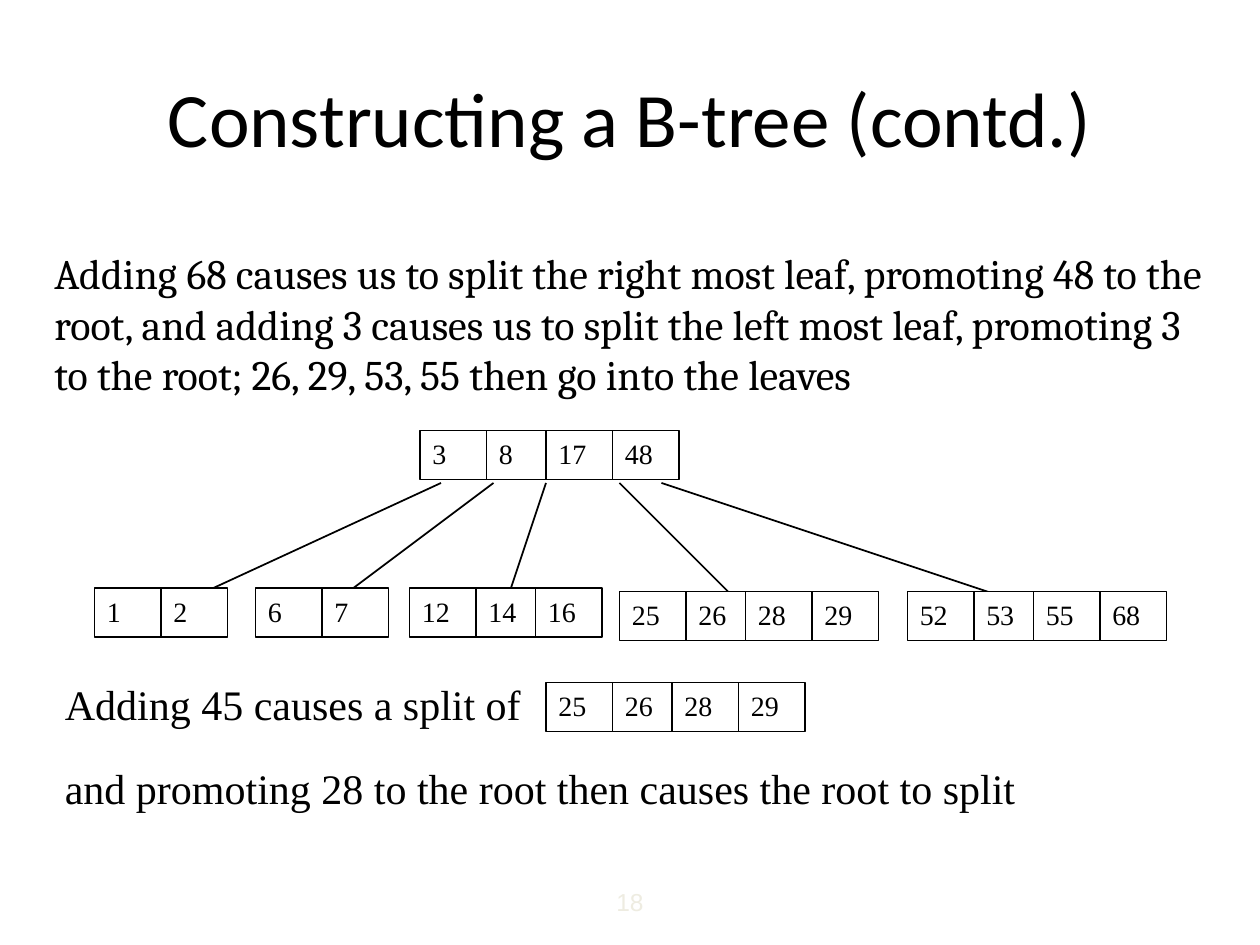
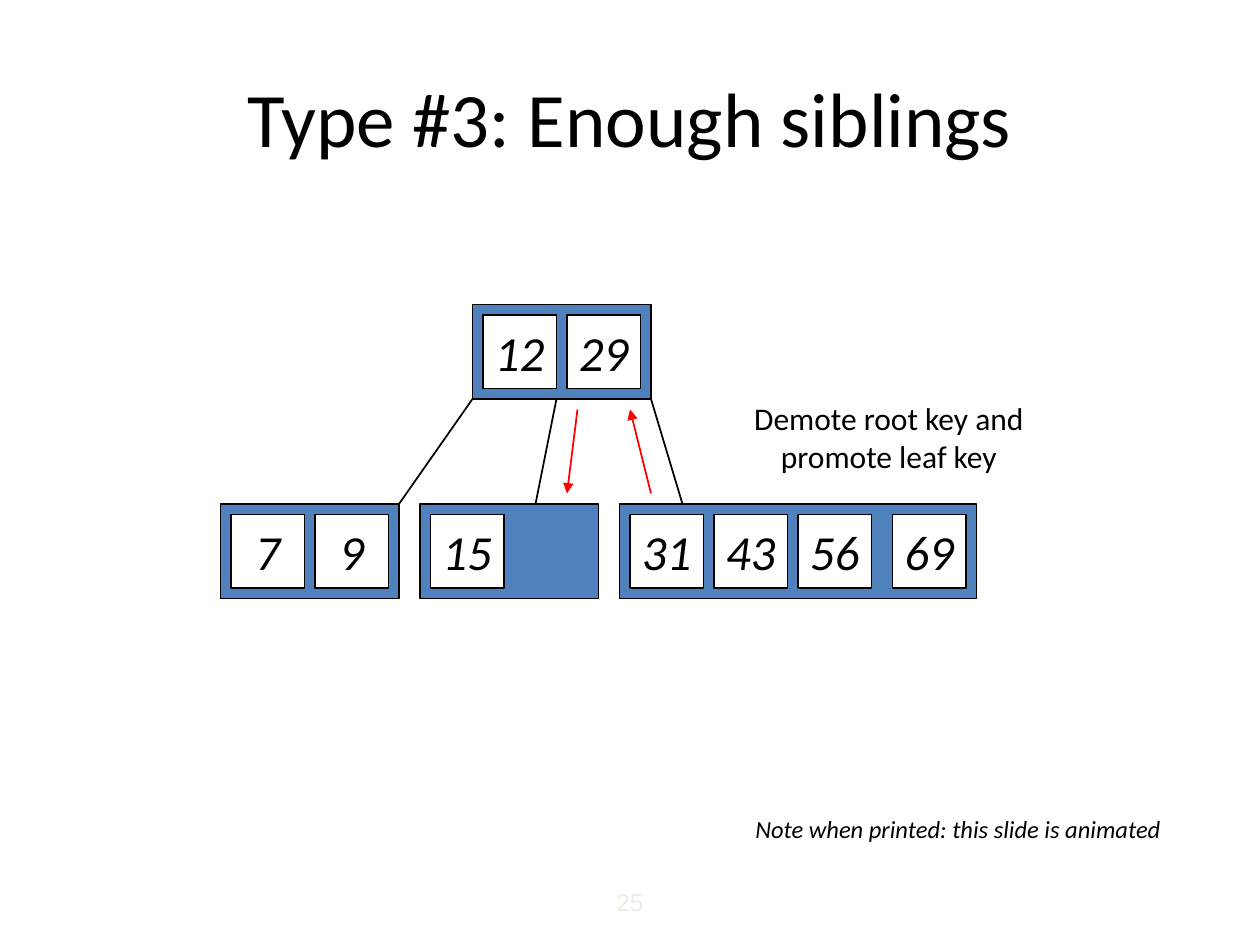
from lxml import etree
from pptx import Presentation
from pptx.dml.color import RGBColor
from pptx.enum.shapes import MSO_CONNECTOR, MSO_SHAPE
from pptx.enum.text import MSO_ANCHOR, PP_ALIGN
from pptx.oxml.ns import qn
from pptx.util import Pt

LEFT, CENTER = PP_ALIGN.LEFT, PP_ALIGN.CENTER
TOP, MIDDLE = MSO_ANCHOR.TOP, MSO_ANCHOR.MIDDLE
RECTANGLE = MSO_SHAPE.RECTANGLE
STRAIGHT = MSO_CONNECTOR.STRAIGHT

BLACK = RGBColor(0x00, 0x00, 0x00)
WHITE = RGBColor(0xFF, 0xFF, 0xFF)
BLUE = RGBColor(0x4F, 0x81, 0xBD)
RED = RGBColor(0xFF, 0x00, 0x00)
PALE = RGBColor(0xEE, 0xEC, 0xE1)

SANS, SERIF, ROMAN = "Calibri", "Cambria", "Times New Roman"


def add_box(slide, frame, lines=(), font=SANS, size=18, color=BLACK, align=LEFT,
            anchor=TOP, italic=False, wrap=True, fill=None, border=1):
    """Add a text box, or a bordered rectangle when a fill is given."""
    frame = [Pt(length) for length in frame]
    if fill is None:
        shape = slide.shapes.add_textbox(*frame)
    else:
        shape = slide.shapes.add_shape(RECTANGLE, *frame)
        shape.shadow.inherit = False
        shape.fill.solid()
        shape.fill.fore_color.rgb = fill
        shape.line.color.rgb = BLACK
        shape.line.width = Pt(border)
    text_frame = shape.text_frame
    text_frame.word_wrap = wrap
    text_frame.vertical_anchor = anchor
    text_frame.text = "\n".join(lines)
    for paragraph in text_frame.paragraphs:
        paragraph.alignment = align
        paragraph.font.name = font
        paragraph.font.size = Pt(size)
        paragraph.font.italic = italic
        paragraph.font.color.rgb = color


def add_line(slide, points, color=BLACK, arrow=False):
    """Add a straight line, with an arrowhead at its end if wanted."""
    connector = slide.shapes.add_connector(STRAIGHT, *[Pt(value) for value in points])
    connector.line.color.rgb = color
    connector.line.width = Pt(1)
    if arrow:
        line = connector.line._get_or_add_ln()
        etree.SubElement(line, qn("a:tailEnd"), type="triangle")
    etree.SubElement(connector._element.spPr, qn("a:effectLst"))


presentation = Presentation()
presentation.slide_width = Pt(720)
presentation.slide_height = Pt(540)

# Titles and slide numbers
slides = []
for title_text, number in (("Constructing a B-tree (contd.)", "18"),
                           ("Type #3: Enough siblings", "25")):
    slide = presentation.slides.add_slide(presentation.slide_layouts[5])
    title = slide.shapes.title
    title.left, title.top, title.width, title.height = Pt(36), Pt(21.6), Pt(648), Pt(90)
    title.text_frame.text = title_text
    title.text_frame.vertical_anchor = MIDDLE
    paragraph = title.text_frame.paragraphs[0]
    paragraph.alignment = CENTER
    paragraph.font.name = SANS
    paragraph.font.size = Pt(44)
    paragraph.font.color.rgb = BLACK
    add_box(slide, (240, 502, 240, 27), [number], "Arial", 14, PALE, CENTER, MIDDLE)
    slides.append(slide)
construction, siblings = slides

# Construction: branches from the root to the leaves
for root_x, leaf_x in ((252, 96), (282, 186), (312, 288), (354, 426), (378, 594)):
    add_line(construction, (root_x, 276, leaf_x, 348))

# Construction: explanations
add_box(construction, (24, 138, 672, 94),
        ["Adding 68 causes us to split the right most leaf, promoting 48 to the root, "
         "and adding 3 causes us to split the left most leaf, promoting 3 to the root; "
         "26, 29, 53, 55 then go into the leaves"], SERIF, 24)
add_box(construction, (30, 384, 288, 36), ["Adding 45 causes a split of"], ROMAN, 24)
add_box(construction, (30, 432, 654, 36),
        ["and promoting 28 to the root then causes the root to split"], ROMAN, 24)

# Construction: nodes as rows of key cells
CELL_OFFSETS = (0, 38, 72, 110)
tree_nodes = (
    (240, 246, (3, 8, 17, 48)),
    (54, 336, (1, 2)),
    (146, 336, (6, 7)),
    (234, 336, (12, 14, 16)),
    (354, 338, (25, 26, 28, 29)),
    (518.5, 338, (52, 53, 55, 68)),
    (312, 390, (25, 26, 28, 29)),
)
for left, top, keys in tree_nodes:
    for offset, key in zip(CELL_OFFSETS, keys):
        add_box(construction, (left + offset, top, 38, 28), [str(key)], ROMAN, 16,
                fill=WHITE, border=0.75)

# Siblings: blue nodes holding white key cells
KEY_SIZE, KEY_PADDING = 42, 6
sibling_nodes = (
    (270, 174, 102, {6: 12, 54: 29}),
    (126, 288, 102, {6: 7, 54: 9}),
    (240, 288, 102, {6: 15}),
    (354, 288, 204, {6: 31, 54: 43, 102: 56, 156: 69}),
)
for left, top, width, keys in sibling_nodes:
    add_box(siblings, (left, top, width, KEY_SIZE + 2 * KEY_PADDING), fill=BLUE)
    for offset, key in keys.items():
        add_box(siblings, (left + offset, top + KEY_PADDING, KEY_SIZE, KEY_SIZE),
                [str(key)], size=28, align=CENTER, anchor=MIDDLE, italic=True,
                wrap=False, fill=WHITE)

# Siblings: branches, then the demoted and promoted keys
for root_x, leaf_x in ((270, 228), (318, 306), (372, 390)):
    add_line(siblings, (root_x, 228, leaf_x, 288))
add_line(siblings, (330, 234, 324, 282), RED, arrow=True)
add_line(siblings, (372, 282, 360, 234), RED, arrow=True)

# Siblings: captions
add_box(siblings, (408, 222, 200, 55), ["Demote root key and", "promote leaf key"],
        align=CENTER, anchor=MIDDLE, wrap=False)
add_box(siblings, (415, 461.5, 265, 24), ["Note when printed: this slide is animated"],
        size=14, align=CENTER, anchor=MIDDLE, italic=True, wrap=False)

presentation.save("out.pptx")
